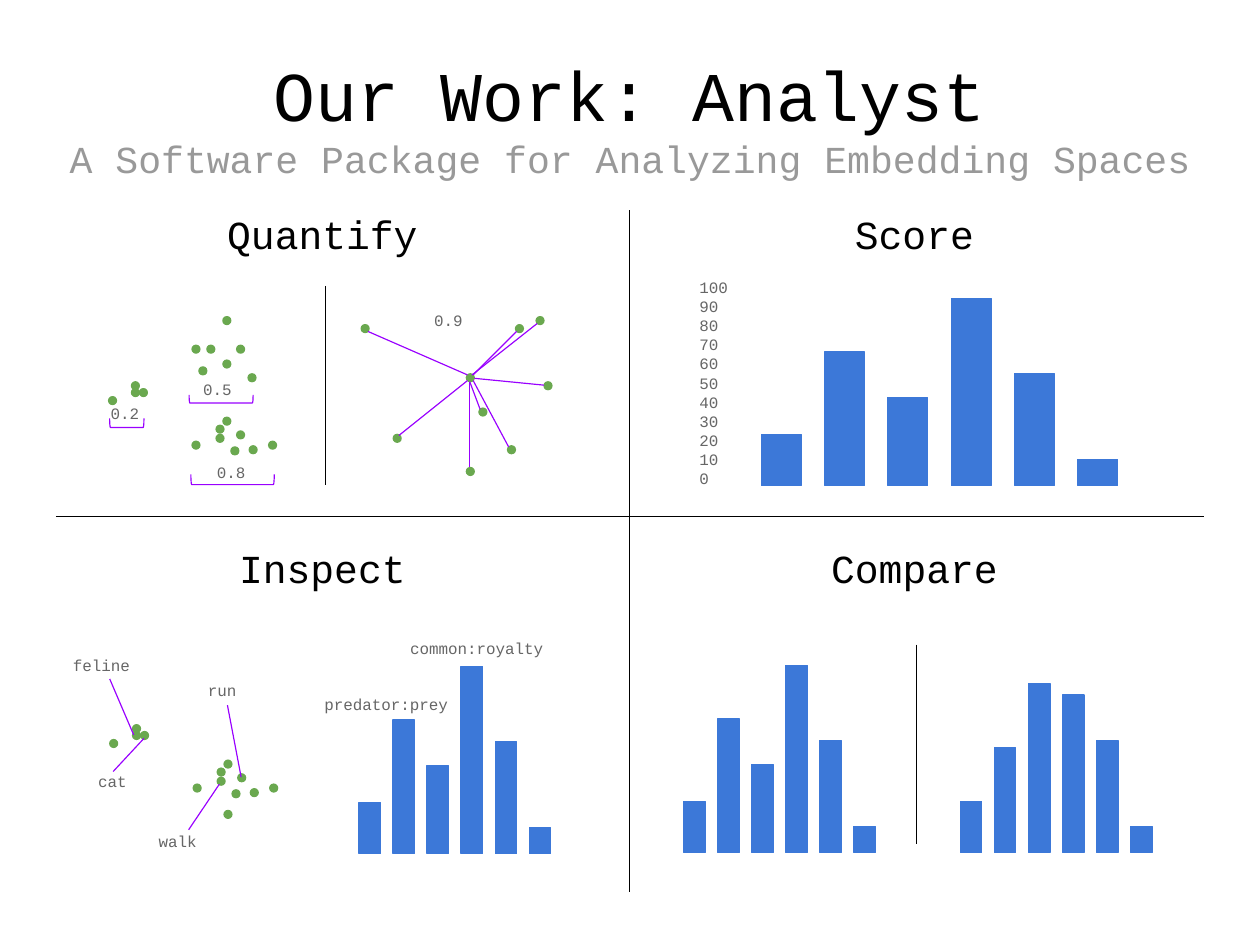
"""Build the Analyst overview slide."""
import dataclasses

import lxml.etree
import pptx
import pptx.dml.color
import pptx.enum.shapes
import pptx.enum.text
import pptx.oxml.ns
import pptx.util

Inches = pptx.util.Inches
Shape = pptx.enum.shapes.MSO_SHAPE
Align = pptx.enum.text.PP_ALIGN
Anchor = pptx.enum.text.MSO_ANCHOR


@dataclasses.dataclass
class Theme:
    font: str = "Courier New"
    black: str = "000000"
    light: str = "999999"
    gray: str = "666666"
    green: str = "6AA84F"
    blue: str = "3C78D8"
    purple: str = "9900FF"
    title: int = 44
    sub: int = 24
    head: int = 25
    label: int = 10
    stroke: float = 0.75


class Board:
    def __init__(self, slide, theme):
        self.slide = slide
        self.theme = theme

    def paint(self, line, color):
        line.color.rgb = pptx.dml.color.RGBColor.from_string(color)
        line.width = pptx.util.Pt(self.theme.stroke)

    def text(self, box, rows, inset=0.0, align=Align.LEFT, anchor=Anchor.TOP):
        item = self.slide.shapes.add_textbox(*map(Inches, box))
        frame = item.text_frame
        frame.word_wrap = True
        frame.vertical_anchor = anchor
        frame.margin_left = frame.margin_right = Inches(inset)
        frame.margin_top = frame.margin_bottom = Inches(inset)
        for spot, (words, size, color) in enumerate(rows):
            para = frame.add_paragraph() if spot else frame.paragraphs[0]
            para.alignment = align
            run = para.add_run()
            run.text = words
            run.font.name = self.theme.font
            run.font.size = pptx.util.Pt(size)
            run.font.color.rgb = pptx.dml.color.RGBColor.from_string(color)

    def head(self, left, top, words):
        row = (words, self.theme.head, self.theme.black)
        self.text((left, top, 4.94, 0.5), [row], align=Align.CENTER)

    def label(self, left, top, width, *words, height=0.41):
        rows = [(word, self.theme.label, self.theme.gray) for word in words]
        self.text((left, top, width, height), rows, inset=0.1)

    def solid(self, kind, box, color):
        item = self.slide.shapes.add_shape(kind, *map(Inches, box))
        item.shadow.inherit = False
        item.fill.solid()
        item.fill.fore_color.rgb = pptx.dml.color.RGBColor.from_string(color)
        self.paint(item.line, color)

    def dots(self, spots, right=0.0, down=0.0):
        for left, top in spots:
            box = (left + right, top + down, 0.07, 0.07)
            self.solid(Shape.OVAL, box, self.theme.green)

    def bars(self, first, last, base, width, tall):
        step = (last - first) / (len(tall) - 1)
        for spot, high in enumerate(tall):
            box = (first + spot * step, base - high, width, high)
            self.solid(Shape.RECTANGLE, box, self.theme.blue)

    def line(self, start, end, color):
        kind = pptx.enum.shapes.MSO_CONNECTOR.STRAIGHT
        item = self.slide.shapes.add_connector(kind, *map(Inches, start + end))
        self.paint(item.line, color)
        tag = pptx.oxml.ns.qn("a:effectLst")
        lxml.etree.SubElement(item._element.spPr, tag)

    def brace(self, *box):
        item = self.slide.shapes.add_shape(Shape.LEFT_BRACKET, *map(Inches, box))
        item.shadow.inherit = False
        item.rotation = 270
        item.adjustments[0] = 0.083
        item.fill.background()
        self.paint(item.line, self.theme.purple)


SMALL = [(1.15, 3.34), (1.22, 3.4), (0.95, 3.47), (1.15, 3.4)]
WIDE = [(2.07, 3.77), (1.89, 3.72), (1.95, 3.65), (2.02, 3.91),
        (1.68, 3.86), (1.89, 3.8), (2.35, 3.86), (2.18, 3.9)]
UPPER = [(1.68, 3.02), (1.74, 3.21), (1.95, 3.15), (1.81, 3.02),
         (1.95, 2.77), (2.17, 3.27), (2.07, 3.02)]
STAR = [(4.51, 2.84), (3.16, 2.84), (4.44, 3.9), (4.76, 3.34), (3.44, 3.8),
        (4.08, 4.09), (4.69, 2.77), (4.19, 3.57), (4.08, 3.27)]
SPOKES = [((4.09, 3.28), (3.22, 2.9)), ((4.09, 3.33), (3.49, 3.81)),
          ((4.11, 3.34), (4.11, 4.09)), ((4.11, 3.34), (4.2, 3.58)),
          ((4.45, 3.91), (4.14, 3.33)), ((4.52, 2.9), (4.14, 3.28)),
          ((4.7, 2.83), (4.13, 3.28)), ((4.76, 3.37), (4.15, 3.31))]
LEADS = [((1.17, 6.43), (0.96, 5.94)), ((2.11, 6.8), (1.99, 6.17)),
         ((1.92, 6.86), (1.65, 7.26)), ((1.26, 6.46), (0.99, 6.75))]
RULES = [((5.51, 1.84), (5.51, 7.8)), ((0.49, 4.52), (10.53, 4.52)),
         ((2.85, 2.5), (2.85, 4.24)), ((8.02, 5.64), (8.02, 7.38))]
SCORES = [0.45, 1.17, 0.77, 1.64, 0.98, 0.23]
RIVALS = [0.45, 0.92, 1.48, 1.38, 0.98, 0.23]


def frame(board):
    look = board.theme
    rows = [("Our Work: Analyst", look.title, look.black),
            ("A Software Package for Analyzing Embedding Spaces",
             look.sub, look.light)]
    board.text((0.55, 0.2, 9.92, 1.64), rows,
               align=Align.CENTER, anchor=Anchor.MIDDLE)
    for left, pair in ((0.35, ("Quantify", "Inspect")),
                       (5.53, ("Score", "Compare"))):
        for top, words in zip((1.84, 4.76), pair):
            board.head(left, top, words)
    for start, end in RULES:
        board.line(start, end, look.black)


def quantify(board):
    board.dots(UPPER + WIDE + SMALL + STAR)
    for start, end in SPOKES:
        board.line(start, end, board.theme.purple)
    board.brace(1.99, 3.83, 0.09, 0.73)
    board.brace(1.9, 3.21, 0.07, 0.56)
    board.brace(1.07, 3.55, 0.08, 0.3)
    board.label(0.87, 3.45, 0.5, "0.2")
    board.label(1.68, 3.24, 0.5, "0.5")
    board.label(1.8, 3.96, 0.5, "0.8")
    board.label(3.7, 2.63, 0.73, "0.9")


def score(board):
    board.bars(6.66, 9.43, 4.25, 0.35, SCORES)
    marks = [str(mark) for mark in range(100, -1, -10)]
    board.label(6.02, 2.33, 0.56, *marks, height=1.95)


def inspect(board):
    board.dots(WIDE + SMALL + [(1.95, 4.09)], 0.01, 3)
    board.bars(3.14, 4.63, 7.47, 0.19, SCORES)
    for start, end in LEADS:
        board.line(start, end, board.theme.purple)
    board.label(0.54, 5.65, 0.9, "feline")
    board.label(1.72, 5.87, 0.84, "run")
    board.label(1.29, 7.19, 0.98, "walk")
    board.label(0.76, 6.67, 0.9, "cat")
    board.label(3.49, 5.5, 1.68, "common:royalty")
    board.label(2.74, 5.99, 1.38, "predator:prey")


def compare(board):
    board.bars(5.98, 7.47, 7.46, 0.19, SCORES)
    board.bars(8.4, 9.89, 7.46, 0.19, RIVALS)


def main():
    deck = pptx.Presentation()
    deck.slide_width = Inches(28 / 2.54)
    deck.slide_height = Inches(21 / 2.54)
    slide = deck.slides.add_slide(deck.slide_layouts[6])
    board = Board(slide, Theme())
    for part in (frame, quantify, score, inspect, compare):
        part(board)
    deck.save("out.pptx")


if __name__ == "__main__":
    main()
